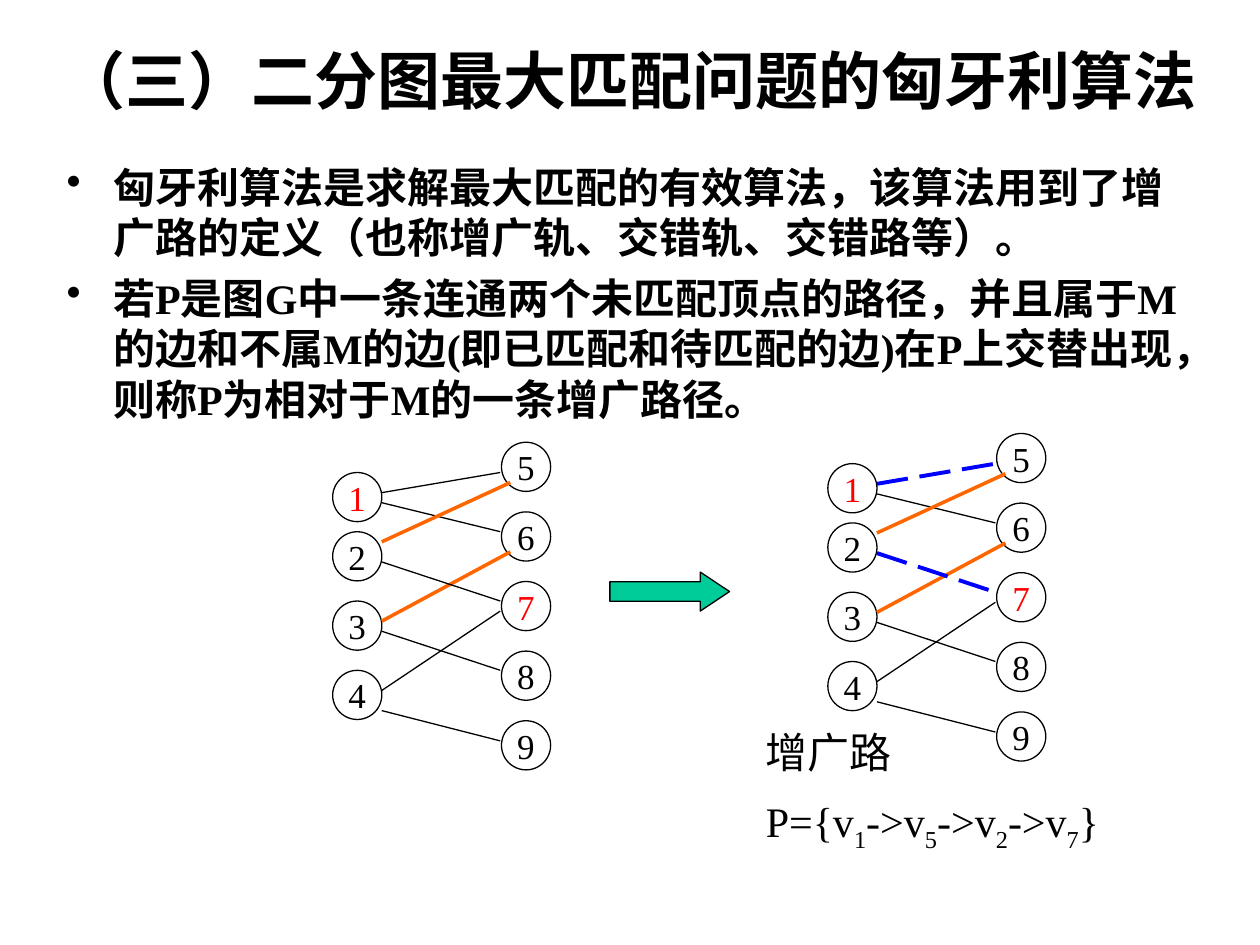
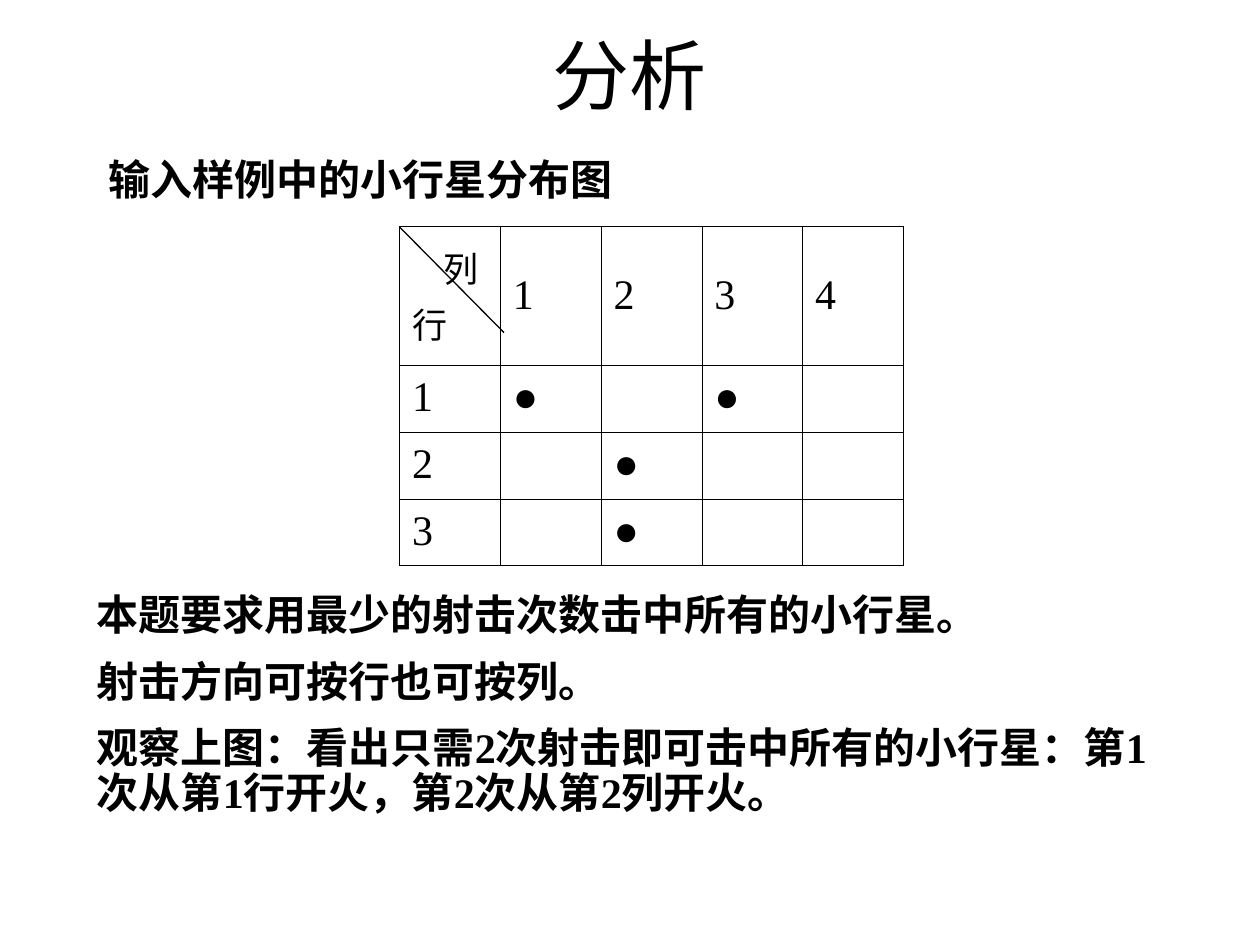
from lxml import etree
from pptx import Presentation
from pptx.dml.color import RGBColor
from pptx.enum import dml, shapes, text
from pptx.oxml import ns
from pptx.util import Inches, Pt

BLACK = RGBColor(0, 0, 0)
RED = RGBColor(0xFF, 0, 0)
BLUE = RGBColor(0, 0, 0xFF)
ORANGE = RGBColor(0xFF, 0x66, 0)
GREEN = RGBColor(0, 0xCC, 0x99)
SERIF = "Times New Roman"
CJK = "Noto Sans CJK SC"
CENTER = text.PP_ALIGN.CENTER

NODE_SIZE = 0.39
LEFT_NODES = {"1": 0.24, "2": 0.71, "3": 1.26, "4": 1.81}
RIGHT_NODES = {str(5 + i): 0.5525 * i for i in range(5)}
RIGHT_X = 1.34
UNMATCHED = "17"
# Edge name: start y, end x, end y, measured from the graph's corner
EDGES = {
    "1-5": (0.40, 1.33, 0.24),
    "1-6": (0.48, 1.33, 0.71),
    "3-6": (1.42, 1.41, 0.87),
    "2-5": (0.79, 1.41, 0.32),
    "3-8": (1.50, 1.33, 1.81),
    "4-9": (2.13, 1.33, 2.37),
    "4-7": (1.97, 1.33, 1.34),
    "2-7": (0.95, 1.33, 1.26),
}
MATCHED = ("2-5", "3-6")
ASTEROIDS = {(1, 1), (1, 3), (2, 2), (3, 2)}


def add_run(p, words, size, color=BLACK, bold=False, font=SERIF, subscript=False):
    r = p.add_run()
    r.text = words
    r.font.size = Pt(size)
    r.font.bold = bold
    r.font.color.rgb = color
    r.font.name = font
    rPr = r.font._element
    if max(words) > "⿿":
        etree.SubElement(rPr, ns.qn("a:ea"), typeface=CJK)
    if subscript:
        rPr.set("baseline", "-25000")


def paragraphs(tf, count, before=0, line=None):
    """Yield count paragraphs; the first has no space before."""
    for i in range(count):
        p = tf.add_paragraph() if i else tf.paragraphs[0]
        if i:
            p.space_before = Pt(before)
        if line:
            p.line_spacing = line
        yield p


def add_textbox(s, left, top, width, height):
    tf = s.shapes.add_textbox(Inches(left), Inches(top), Inches(width), Inches(height)).text_frame
    tf.word_wrap = True
    return tf


def add_title(s, words, size, box, bold=False):
    p = add_textbox(s, *box).paragraphs[0]
    p.alignment = CENTER
    add_run(p, words, size, bold=bold)


def add_bullets(s, items, box):
    for p, words in zip(paragraphs(add_textbox(s, *box), len(items), 6), items):
        pPr = p._p.get_or_add_pPr()
        pPr.set("marL", str(Inches(0.37)))
        pPr.set("indent", str(-Inches(0.37)))
        etree.SubElement(pPr, ns.qn("a:buChar"), char="•")
        add_run(p, words, 24, bold=True)


def add_outlined(parent, kind, left, top, width, height, fill=None):
    sp = parent.shapes.add_shape(kind, Inches(left), Inches(top), Inches(width), Inches(height))
    sp.shadow.inherit = False
    if fill is None:
        sp.fill.background()
    else:
        sp.fill.solid()
        sp.fill.fore_color.rgb = fill
    sp.line.color.rgb = BLACK
    sp.line.width = Pt(0.75)
    return sp


def add_node(parent, label, left, top):
    sp = add_outlined(parent, shapes.MSO_SHAPE.OVAL, left, top, NODE_SIZE, NODE_SIZE)
    tf = sp.text_frame
    tf.word_wrap = False
    tf.vertical_anchor = text.MSO_ANCHOR.MIDDLE
    tf.paragraphs[0].alignment = CENTER
    add_run(tf.paragraphs[0], label, 20, RED if label in UNMATCHED else BLACK)


def add_line(parent, x1, y1, x2, y2, color=BLACK, width=0.75, dashed=False):
    c = parent.shapes.add_connector(shapes.MSO_CONNECTOR.STRAIGHT,
                                    Inches(x1), Inches(y1), Inches(x2), Inches(y2))
    c.line.color.rgb = color
    c.line.width = Pt(width)
    if dashed:
        c.line.dash_style = dml.MSO_LINE.LONG_DASH
    etree.SubElement(c._element.spPr, ns.qn("a:effectLst"))


def add_graph(s, left, top, augmenting=()):
    """Draw the bipartite graph, with the named edges dashed in blue."""
    group = s.shapes.add_group_shape()
    for x, nodes in ((left, LEFT_NODES), (left + RIGHT_X, RIGHT_NODES)):
        for label, y in nodes.items():
            add_node(group, label, x, top + y)
    for name, (y1, x2, y2) in EDGES.items():
        style = {}
        if name in MATCHED:
            style = {"color": ORANGE, "width": 2}
        elif name in augmenting:
            style = {"color": BLUE, "width": 2.25, "dashed": True}
        add_line(group, left + NODE_SIZE, top + y1, left + x2, top + y2, **style)


def add_path_label(s):
    name, path = paragraphs(add_textbox(s, 5.98, 5.72, 3.5, 1.1), 2, 10.5)
    add_run(name, "增广路", 24)
    add_run(path, "P={v", 24)
    for vertex, following in (("1", "->v"), ("5", "->v"), ("2", "->v"), ("7", "}")):
        add_run(path, vertex, 24, subscript=True)
        add_run(path, following, 24)


def set_borders(cell, outer_sides):
    tcPr = cell._tc.get_or_add_tcPr()
    for i, side in enumerate("LRTB"):
        width = Pt(0.5 if side in outer_sides else 0.23)
        ln = etree.Element(ns.qn(f"a:ln{side}"), w=str(width))
        fill = etree.SubElement(ln, ns.qn("a:solidFill"))
        etree.SubElement(fill, ns.qn("a:srgbClr"), val=str(BLACK))
        tcPr.insert(i, ln)


def fill_corner_cell(cell):
    column, row = paragraphs(cell.text_frame, 2, 5, 0.93)
    column._p.get_or_add_pPr().set("marL", str(Inches(0.25)))
    add_run(column, "列", 20)
    add_run(row, "行", 20)


def add_asteroid_table(s, left, top):
    rows, cols = 4, 5
    table = s.shapes.add_table(rows, cols, Inches(left), Inches(top),
                               Inches(4), Inches(2.68)).table
    table.first_row = table.horz_banding = False
    for column in table.columns:
        column.width = Inches(0.8)
    for r in range(rows):
        table.rows[r].height = Inches(0.53 if r else 1.1)
        for c in range(cols):
            cell = table.cell(r, c)
            cell.fill.background()
            cell.vertical_anchor = text.MSO_ANCHOR.MIDDLE
            edges = {"L": c == 0, "R": c == cols - 1, "T": r == 0, "B": r == rows - 1}
            set_borders(cell, [side for side, outer in edges.items() if outer])
            if r == c == 0:
                fill_corner_cell(cell)
            elif r == 0 or c == 0 or (r, c) in ASTEROIDS:
                label = "●" if r and c else str(r or c)
                p, = paragraphs(cell.text_frame, 1, line=0.93)
                add_run(p, label, 24)
    add_line(s, left, top, left + 0.83, top + 0.84)


def build_hungarian_slide(s):
    add_title(s, "（三）二分图最大匹配问题的匈牙利算法", 36, (0.27, 0.28, 9.46, 0.87), bold=True)
    add_bullets(s, [
        "匈牙利算法是求解最大匹配的有效算法，该算法用到了增广路的定义（也称增广轨、交错轨、交错路等）。",
        "若P是图G中一条连通两个未匹配顶点的路径，并且属于M的边和不属M的边"
        "(即已匹配和待匹配的边)在P上交替出现，则称P为相对于M的一条增广路径。",
    ], (0.43, 1.23, 9.13, 4.95))
    add_graph(s, 2.64, 3.51)
    add_graph(s, 6.57, 3.44, augmenting=("1-5", "2-7"))
    add_path_label(s)
    arrow = add_outlined(s, shapes.MSO_SHAPE.RIGHT_ARROW, 4.84, 4.54, 0.95, 0.31, GREEN)
    arrow.adjustments[1] = 0.75


def build_analysis_slide(s):
    add_title(s, "分析", 44, (0.75, 0.17, 8.5, 1.25))
    heading = add_textbox(s, 0.76, 1.17, 8.5, 0.67).paragraphs[0]
    add_run(heading, "输入样例中的小行星分布图", 24, bold=True, font=CJK)
    add_asteroid_table(s, 3.17, 1.8)
    remarks = [
        "本题要求用最少的射击次数击中所有的小行星。",
        "射击方向可按行也可按列。",
        "观察上图：看出只需2次射击即可击中所有的小行星：第1次从第1行开火，第2次从第2列开火。",
    ]
    tf = add_textbox(s, 0.67, 4.67, 8.58, 1.88)
    for p, words in zip(paragraphs(tf, len(remarks), 12, 0.9), remarks):
        add_run(p, words, 24, bold=True)


def main():
    prs = Presentation()
    prs.slide_width, prs.slide_height = Inches(10), Inches(7.5)
    for build in (build_hungarian_slide, build_analysis_slide):
        build(prs.slides.add_slide(prs.slide_layouts[6]))
    prs.save("out.pptx")


if __name__ == "__main__":
    main()
